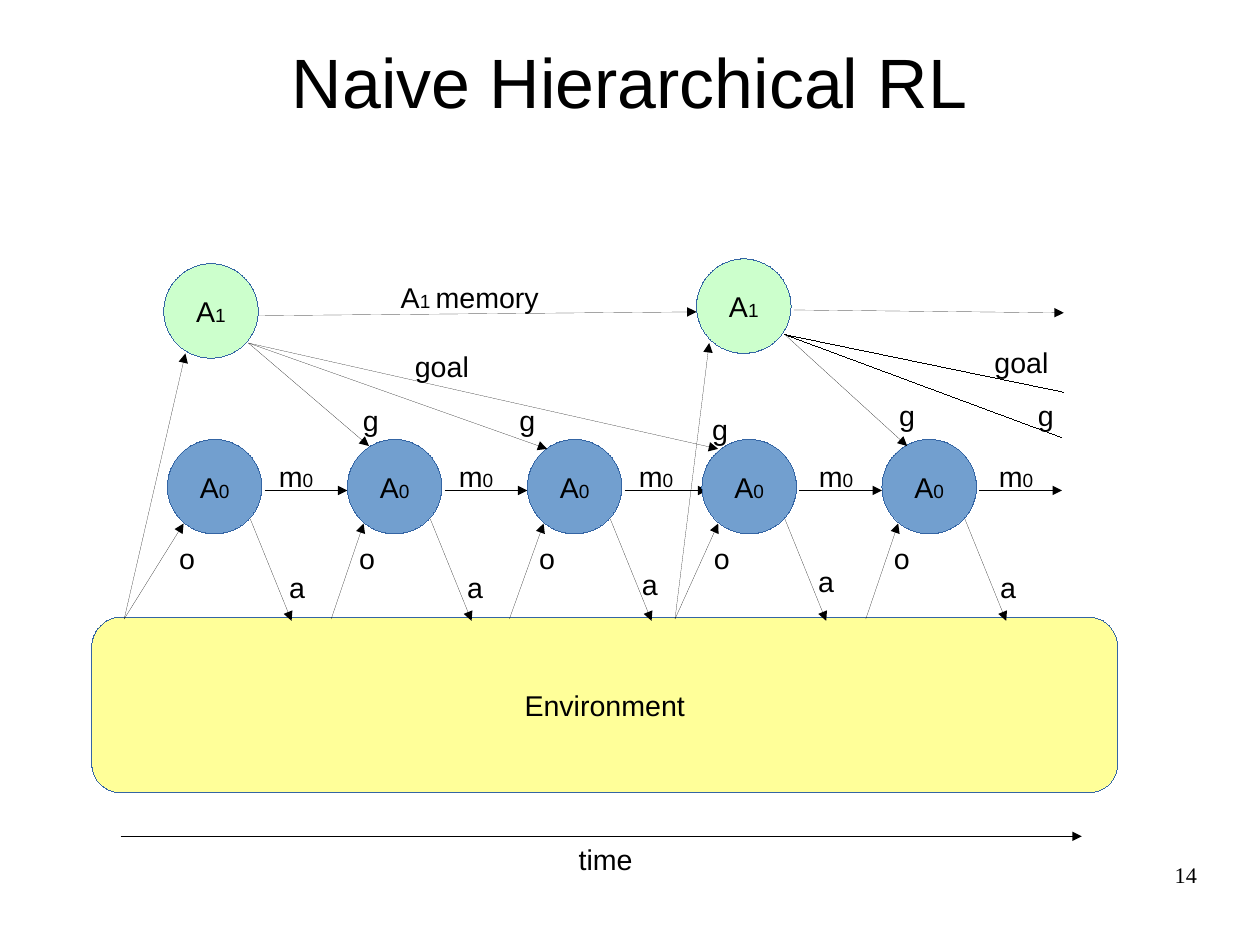
from dataclasses import dataclass

from lxml.etree import SubElement
from pptx import Presentation
from pptx.dml.color import RGBColor
from pptx.enum.shapes import MSO_CONNECTOR as Connector, MSO_SHAPE as Shape
from pptx.enum.text import MSO_ANCHOR as Anchor, PP_ALIGN as Align
from pptx.oxml.ns import qn
from pptx.util import Cm, Pt

# Grid: one column is one time step, one row is one circle's diameter
WIDTH, HEIGHT = Cm(28), Cm(21)
COLUMN, ROW = WIDTH / 7, HEIGHT / 10


@dataclass(frozen=True)
class Theme:
    ink: str = "000000"
    outline: str = "3465A4"
    environment: str = "FFFF99"
    worker: str = "729FCF"
    manager: str = "CCFFCC"
    font: str = "Arial"
    number_font: str = "Times New Roman"
    title: int = 44
    body: int = 18
    index: int = 12
    number: int = 14


THEME = Theme()


@dataclass(frozen=True)
class Step:
    left: float          # left edge of the worker circle
    observed: float      # where its observation leaves the environment
    action: tuple        # left and top of the action label


STEPS = (
    Step(0.93, 0.69, (1.54, 5.97)),
    Step(1.93, 1.84, (2.53, 5.97)),
    Step(2.93, 2.83, (3.5, 5.94)),
    Step(3.9, 3.75, (4.48, 5.91)),
    Step(4.9, 4.81, (5.49, 5.97)),
)


@dataclass(frozen=True)
class Manager:
    corner: tuple        # left and top of the circle
    observation: tuple   # start and end of the observation arrow
    memory: tuple        # start and end of the memory arrow
    source: tuple        # where its goals start
    goals: tuple         # ends of goals that reach a worker
    open_goals: tuple    # ends of goals that run off without a head


MANAGERS = (
    Manager((0.91, 2.79), ((0.69, 6.55), (1.03, 3.74)),
            ((1.44, 3.34), (3.87, 3.3)), (1.38, 3.63),
            ((2.05, 4.72), (3.04, 4.75), (3.99, 4.75)), ()),
    Manager((3.87, 2.74), ((3.75, 6.55), (3.94, 3.63)),
            ((4.41, 3.28), (5.91, 3.31)), (4.36, 3.54),
            ((5.04, 4.72),), ((5.9, 4.63), (5.91, 4.15))),
)

GOAL_MARKS = ((1.95, 4.2), (2.82, 4.2), (3.89, 4.3), (4.93, 4.15), (5.7, 4.15))


def place(left, top):
    return round(left * COLUMN), round(top * ROW)


def indexed(letter, index):
    return ((letter, THEME.body), (index, THEME.index))


def plain(text):
    return ((text, THEME.body),)


def write(shape, spans, align=Align.CENTER, font=THEME.font):
    """Fill one paragraph with (text, size) spans."""
    para = shape.text_frame.paragraphs[0]
    para.alignment = align
    para.font.name = font
    para.font.color.rgb = RGBColor.from_string(THEME.ink)
    para.font.size = Pt(spans[0][1])
    for text, size in spans:
        span = para.add_run()
        span.text = text
        if size != spans[0][1]:
            span.font.size = Pt(size)


def draw_hairline(shape, color):
    """Colour the line and state its zero width, returning its XML."""
    shape.line.color.rgb = RGBColor.from_string(color)
    hairline = shape.line._get_or_add_ln()
    hairline.set("w", "0")
    return hairline


def add_node(page, kind, corner, size, fill, spans):
    node = page.shapes.add_shape(kind, *place(*corner), *size)
    node.shadow.inherit = False
    node.fill.solid()
    node.fill.fore_color.rgb = RGBColor.from_string(fill)
    draw_hairline(node, THEME.outline)
    node.text_frame.word_wrap = False
    node.text_frame.vertical_anchor = Anchor.MIDDLE
    write(node, spans)


def add_agent(page, corner, fill, index):
    diameter = round(ROW)
    add_node(page, Shape.OVAL, corner, (diameter, diameter), fill,
             indexed("A", index))


def add_line(page, start, end, head=True):
    line = page.shapes.add_connector(Connector.STRAIGHT,
                                     *place(*start), *place(*end))
    hairline = draw_hairline(line, THEME.ink)
    if head:
        SubElement(hairline, qn("a:tailEnd"), type="triangle")
    SubElement(line._element.spPr, qn("a:effectLst"))


def add_label(page, corner, spans, width=0.22):
    label = page.shapes.add_textbox(*place(*corner), *place(width, 0.46))
    label.text_frame.word_wrap = True
    write(label, spans)


def add_margin_text(page, corner, size, spans, anchor, **style):
    """Title or page number, set without insets."""
    box = page.shapes.add_textbox(*place(*corner), *place(*size))
    frame = box.text_frame
    frame.word_wrap = True
    frame.vertical_anchor = anchor
    frame.margin_left = frame.margin_right = 0
    frame.margin_top = frame.margin_bottom = 0
    write(box, spans, **style)


def add_step(page, step):
    left = step.left
    add_agent(page, (left, 4.65), THEME.worker, "0")
    add_line(page, (step.observed, 6.55), (left + 0.09, 5.54))
    add_line(page, (left + 0.46, 5.49), (left + 0.69, 6.57))
    add_line(page, (left + 0.54, 5.19), (left + 1, 5.19))


def add_manager(page, manager):
    add_agent(page, manager.corner, THEME.manager, "1")
    add_line(page, *manager.observation)
    add_line(page, *manager.memory)
    for end in manager.goals:
        add_line(page, manager.source, end)
    for end in manager.open_goals:
        add_line(page, manager.source, end, head=False)


def main():
    deck = Presentation()
    deck.slide_width, deck.slide_height = WIDTH, HEIGHT
    page = deck.slides.add_slide(deck.slide_layouts[6])

    # Title and environment
    add_margin_text(page, (0.35, 0.02), (6.3, 1.67),
                    (("Naive Hierarchical RL", THEME.title),), Anchor.MIDDLE)
    add_node(page, Shape.ROUNDED_RECTANGLE, (0.51, 6.53), place(5.7, 1.86),
             THEME.environment, plain("Environment"))

    # Agents and their arrows
    for step in STEPS:
        add_step(page, step)
    for manager in MANAGERS:
        add_manager(page, manager)

    # Time axis
    add_line(page, (0.67, 8.85), (6.01, 8.85))
    add_label(page, (3.15, 8.85), plain("time"), 0.43)

    # Labels of the upper level
    memory = (*indexed("A", "1 "), ("memory", THEME.body))
    add_label(page, (1.73, 2.9), memory, 1.76)
    for corner in ((2.17, 3.63), (5.39, 3.59)):
        add_label(page, corner, plain("goal"), 0.57)
    for corner in GOAL_MARKS:
        add_label(page, corner, plain("g"))

    # Labels of the lower level
    for number, step in enumerate(STEPS):
        add_label(page, step.action, plain("a"))
        add_label(page, (step.left, 5.66), plain("o"))
        add_label(page, (1.44 + number, 4.8), indexed("m", "0"), 0.41)

    # Page number
    add_margin_text(page, (5.02, 9.11), (1.63, 0.69), (("14", THEME.number),),
                    Anchor.TOP, align=Align.RIGHT, font=THEME.number_font)

    deck.save("out.pptx")


if __name__ == "__main__":
    main()
